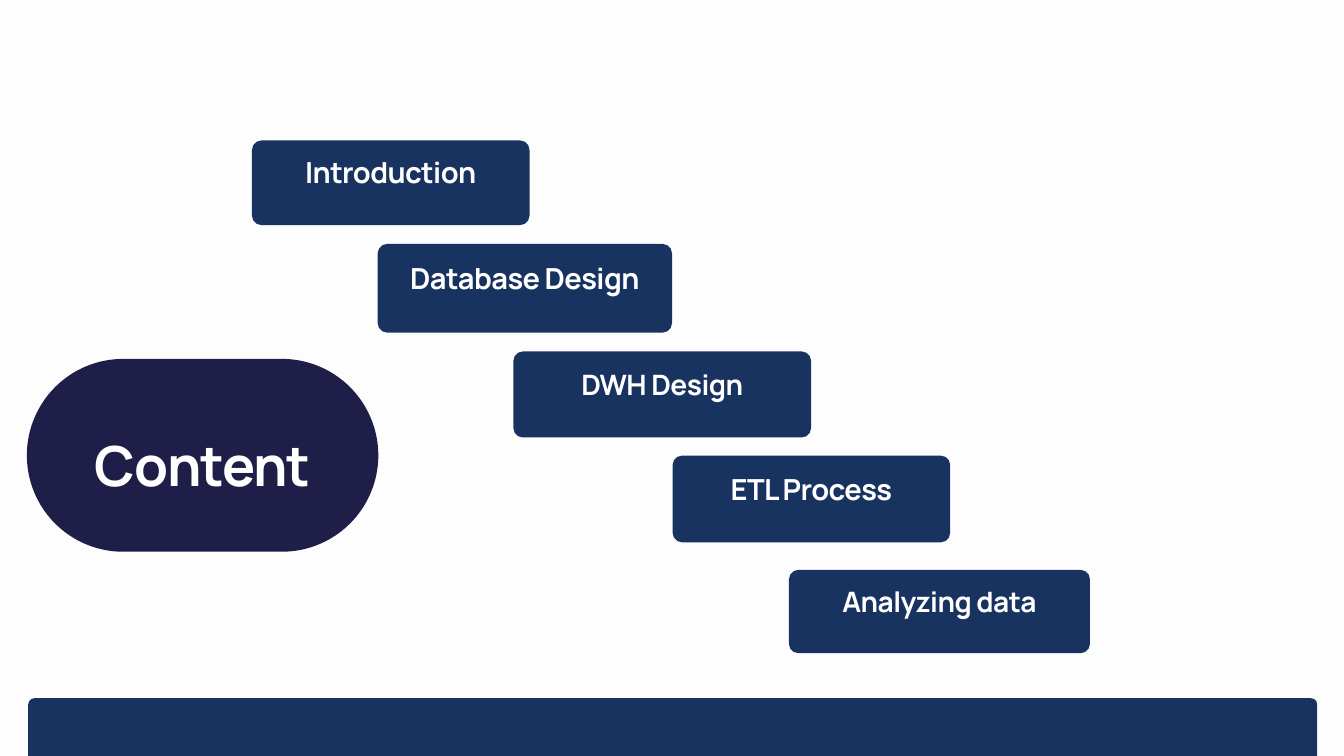
from pptx import Presentation, util as u
from pptx.dml.color import RGBColor
from pptx.enum import shapes, text

WIDTH, HEIGHT = u.Inches(20), u.Inches(11.25)
FONT = "Manrope"
PAPER, WHITE, NAVY, INDIGO = "FDFDFD", "FFFFFF", "193361", "1E1E49"

# Boxes are left, top, width, height in percent of the slide.
CONTENT_BOX = (2, 47.47, 26.15, 25.51)
FOOTER_BOX = (2.1, 92.36, 95.9, 30.04)
STEPS = [
    ("Introduction", 31.1, (18.75, 18.58, 20.65, 11.2)),
    ("Database Design", 31.1, (28.1, 32.27, 21.9, 11.73)),
    ("DWH Design", 30.1, (38.2, 46.49, 22.15, 11.38)),
    ("ETL Process", 31.1, (50.05, 60.27, 20.65, 11.47)),
    ("Analyzing data", 30.1, (58.7, 75.38, 22.4, 11.02)),
]


def paint(fill, colour):
    fill.solid()
    fill.fore_color.rgb = RGBColor.from_string(colour)


def place(box):
    """Turn a box in percent into lengths on the slide."""
    return [int(share * side / 100) for share, side in zip(box, (WIDTH, HEIGHT) * 2)]


def write(shape, words, size, top=0.0, bottom=0.0):
    """Write one centred line, with the top and bottom insets in inches."""
    frame = shape.text_frame
    frame.text = words
    frame.word_wrap = True
    frame.auto_size = text.MSO_AUTO_SIZE.NONE
    frame.vertical_anchor = text.MSO_ANCHOR.MIDDLE
    frame.margin_left = frame.margin_right = u.Inches(0.06)
    frame.margin_top, frame.margin_bottom = u.Inches(top), u.Inches(bottom)
    paragraph = frame.paragraphs[0]
    paragraph.alignment = text.PP_ALIGN.CENTER
    paragraph.line_spacing = u.Pt(round(size * 1.4, 1))
    paragraph.space_before = u.Pt(0)
    run = paragraph.runs[0]
    run.font.name, run.font.size, run.font.bold = FONT, u.Pt(size), True
    run.font.color.rgb = RGBColor.from_string(WHITE)
    run.font._element.set("spc", str(round(-2 * size)))


def add_panel(slide, box, colour, radius=None):
    """Add a rounded panel; without a radius in inches its ends are round."""
    left, top, width, height = place(box)
    panel = slide.shapes.add_shape(
        shapes.MSO_SHAPE.ROUNDED_RECTANGLE, left, top, width, height)
    panel.adjustments[0] = 0.5 if radius is None else u.Inches(radius) / min(width, height)
    panel.shadow.inherit = False
    paint(panel.fill, colour)
    panel.line.fill.background()
    return panel


def add_content_title(slide, box):
    pill = add_panel(slide, box, INDIGO)
    title = slide.shapes.title
    title.left, title.width = pill.left, pill.width
    title.top = pill.top + int(pill.height * 0.32)
    title.height = int(pill.height * 0.4)
    write(title, "Content", 59.1)
    pill.element.addnext(title.element)  # bring the title in front of the pill


def add_step(slide, words, size, box):
    step = add_panel(slide, box, NAVY, 0.14)
    write(step, words, size, top=0.06, bottom=0.46)


def main():
    presentation = Presentation()
    presentation.slide_width, presentation.slide_height = WIDTH, HEIGHT
    slide = presentation.slides.add_slide(presentation.slide_layouts.get_by_name("Title Only"))
    paint(slide.background.fill, PAPER)
    add_content_title(slide, CONTENT_BOX)
    for words, size, box in STEPS:
        add_step(slide, words, size, box)
    add_panel(slide, FOOTER_BOX, NAVY, 0.09)
    presentation.save("out.pptx")


if __name__ == "__main__":
    main()
